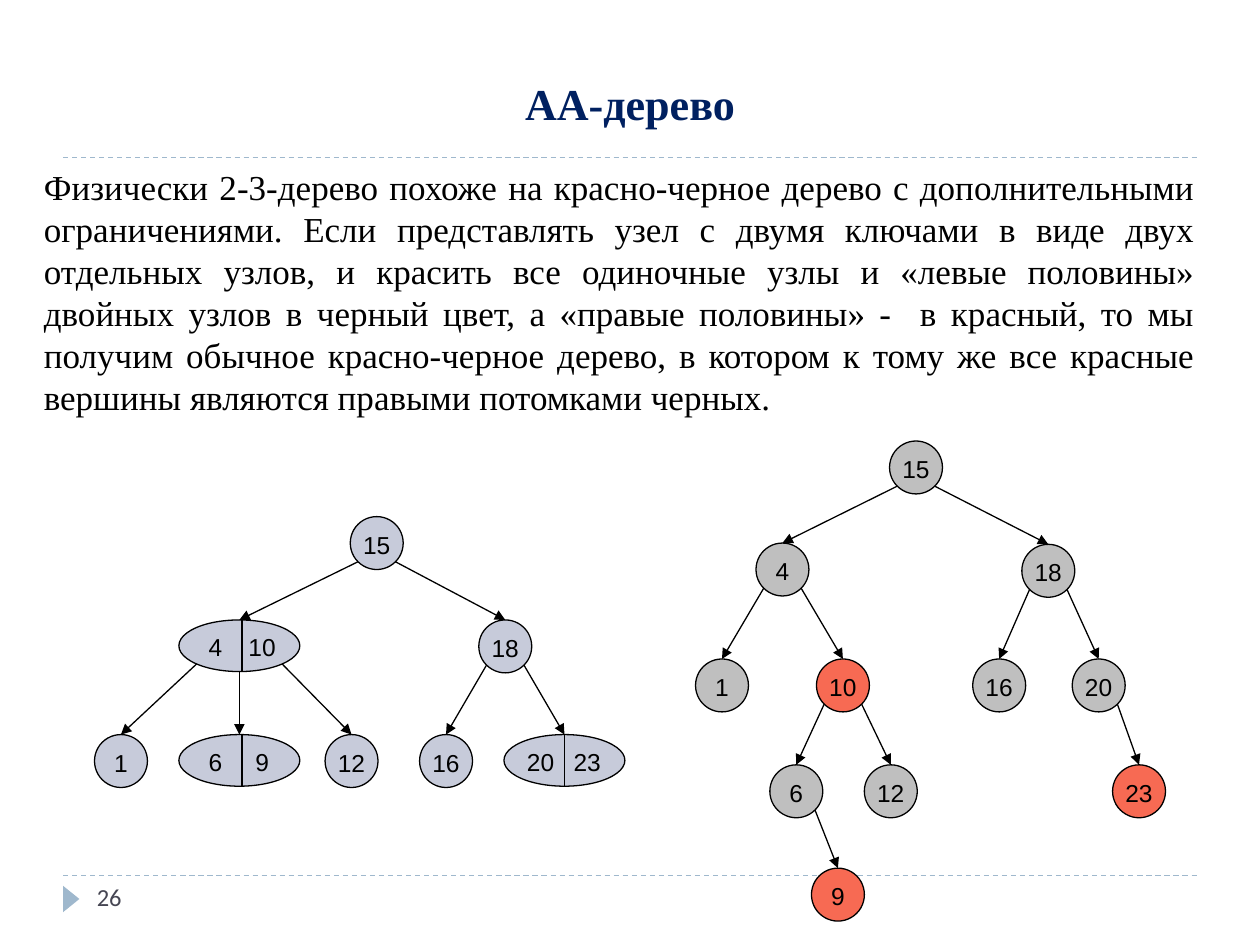
"""Build the slide that compares a 2-3 tree with its AA tree."""
from dataclasses import dataclass

from lxml.etree import SubElement
from pptx import Presentation
from pptx.dml.color import RGBColor
from pptx.enum.dml import MSO_LINE
from pptx.enum.shapes import MSO_CONNECTOR, MSO_SHAPE
from pptx.enum.text import MSO_ANCHOR, MSO_AUTO_SIZE, PP_ALIGN
from pptx.oxml.ns import qn
from pptx.util import Inches, Pt

COLORS = {
    "title": "002060", "text": "000000", "number": "464653", "accent": "9FB8CD",
    "lilac": "C7CBDA", "gray": "BFBFBF", "red": "F76A53",
}
DIAMETER = 0.42
DOUBLE_WIDTH, DOUBLE_HEIGHT = 0.96, 0.41
CORNER = (1 - 0.5 ** 0.5) / 2
KEY_CENTERS = (0.15, 0.52)

BODY = (
    "Физически 2-3-дерево похоже на красно-черное дерево с дополнительными "
    "ограничениями. Если представлять узел с двумя ключами в виде двух отдельных "
    "узлов, и красить все одиночные узлы и «левые половины» двойных узлов в черный "
    "цвет, а «правые половины» -  в красный, то мы получим обычное красно-черное "
    "дерево, в котором к тому же все красные вершины являются правыми потомками черных."
)
SINGLE_NODES = {
    "15": (2.78, 4.1), "18": (3.8, 4.92), "1": (0.75, 5.83),
    "12": (2.58, 5.83), "16": (3.33, 5.83),
}
DOUBLE_NODES = {
    ("4", "10"): (1.42, 4.92, 1.92), ("6", "9"): (1.42, 5.83, 1.92),
    ("20", "23"): (4, 5.83, 4.48),
}
TWO_THREE_EDGES = [
    ("15", ("4", "10"), "left"), ("15", "18", "right"),
    (("4", "10"), "1", "left"), (("4", "10"), ("6", "9"), "middle"),
    (("4", "10"), "12", "right"),
    ("18", "16", "left"), ("18", ("20", "23"), "right"),
]
AA_NODES = {
    "15": (7.06, 3.5), "4": (6, 4.31), "18": (8.11, 4.32),
    "1": (5.52, 5.23), "10": (6.48, 5.23), "16": (7.72, 5.23), "20": (8.51, 5.23),
    "6": (6.11, 6.07), "12": (6.86, 6.07), "23": (8.83, 6.07), "9": (6.44, 6.89),
}
RED_KEYS = {"10", "23", "9"}
AA_EDGES = [
    ("15", "4", "left"), ("15", "18", "right"), ("4", "1", "left"),
    ("4", "10", "right"), ("18", "16", "left"), ("18", "20", "right"),
    ("10", "6", "left"), ("10", "12", "right"), ("20", "23", "right"),
    ("6", "9", "right"),
]


def rgb(name):
    """Return the named colour."""
    return RGBColor.from_string(COLORS[name])


@dataclass
class TreeSlide:
    """Hold the slide and its style, and draw each kind of element."""

    page: object
    node_font: str = "Arial"
    text_font: str = "Times New Roman"
    number_font: str = "Calibri"
    line_width: float = 0.75

    def style(self, frame, font, size, color, align, bold=False):
        """Format every paragraph of a text frame."""
        for para in frame.paragraphs:
            para.alignment = align
            for span in para.runs:
                span.font.name, span.font.size = font, Pt(size)
                span.font.bold = bold
                span.font.color.rgb = rgb(color)

    def title(self, text, left, top, width, height):
        """Place and format the title placeholder."""
        box = self.page.shapes.title
        box.left, box.top, box.width, box.height = map(Inches, (left, top, width, height))
        frame = box.text_frame
        frame.text = text
        frame.auto_size = MSO_AUTO_SIZE.NONE
        frame.vertical_anchor = MSO_ANCHOR.BOTTOM
        self.style(frame, self.text_font, 25.2, "title", PP_ALIGN.CENTER, True)

    def text(self, text, area, font, size, color, align, inset_top=0.05):
        """Add a wrapped text box."""
        frame = self.page.shapes.add_textbox(*map(Inches, area)).text_frame
        frame.word_wrap = True
        frame.margin_top = Inches(inset_top)
        frame.text = text
        self.style(frame, font, size, color, align)

    def line(self, start, end, color="text", dashed=False, arrow=False):
        """Add a straight line, dashed or with an arrowhead if asked."""
        line = self.page.shapes.add_connector(
            MSO_CONNECTOR.STRAIGHT, *map(Inches, (*start, *end)))
        line.line.width = Pt(self.line_width)
        line.line.color.rgb = rgb(color)
        if dashed:
            line.line.dash_style = MSO_LINE.DASH
        if arrow:
            SubElement(line.line._get_or_add_ln(), qn("a:tailEnd"), type="triangle")
        SubElement(line._element.spPr, qn("a:effectLst"))

    def marker(self, left, top, width, height):
        """Add the triangle that points at the slide number."""
        shape = self.page.shapes.add_shape(
            MSO_SHAPE.ISOSCELES_TRIANGLE, *map(Inches, (left, top, width, height)))
        shape.rotation = 90
        shape.shadow.inherit = False
        shape.fill.solid()
        shape.fill.fore_color.rgb = rgb("accent")
        shape.line.fill.background()

    def ellipse(self, text, area, fill, align=PP_ALIGN.CENTER):
        """Add an outlined ellipse with a key in it."""
        shape = self.page.shapes.add_shape(MSO_SHAPE.OVAL, *map(Inches, area))
        shape.shadow.inherit = False
        shape.fill.solid()
        shape.fill.fore_color.rgb = rgb(fill)
        shape.line.color.rgb = rgb("text")
        shape.line.width = Pt(self.line_width)
        frame = shape.text_frame
        frame.word_wrap = False
        frame.vertical_anchor = MSO_ANCHOR.MIDDLE
        frame.margin_top, frame.margin_bottom = Inches(0.07), Inches(0.05)
        frame.text = text
        self.style(frame, self.node_font, 14, "text", align)
        return frame

    def single(self, key, left, top, fill):
        """Add a one-key node and return its area."""
        area = (left, top, DIAMETER, DIAMETER)
        self.ellipse(key, area, fill)
        return area

    def double(self, keys, left, top, divider, fill):
        """Add a two-key node with a divider and return its area."""
        area = (left, top, DOUBLE_WIDTH, DOUBLE_HEIGHT)
        frame = self.ellipse("".join(f"\t{key}" for key in keys), area, fill, PP_ALIGN.LEFT)
        frame.word_wrap = True
        frame.margin_left = frame.margin_right = 0
        stops = SubElement(frame.paragraphs[0]._p.get_or_add_pPr(), qn("a:tabLst"))
        for center in KEY_CENTERS:
            SubElement(stops, qn("a:tab"), pos=str(Inches(center)), algn="ctr")
        self.line((divider, top), (divider, top + DOUBLE_HEIGHT))
        return area

    def edges(self, areas, links):
        """Join parents to the tops of their children."""
        for parent, child, side in links:
            left, top, width, height = areas[parent]
            across, down = {"left": (CORNER, 1 - CORNER), "middle": (0.5, 1),
                            "right": (1 - CORNER, 1 - CORNER)}[side]
            child_left, child_top, child_width, _ = areas[child]
            self.line((left + width * across, top + height * down),
                      (child_left + child_width / 2, child_top), arrow=True)


def main():
    """Build and save the deck."""
    deck = Presentation()
    deck.slide_width, deck.slide_height = Inches(10), Inches(7.5)
    slide = TreeSlide(deck.slides.add_slide(deck.slide_layouts[5]))
    for height in (6.95, 1.25):
        slide.line((0.5, height), (9.5, height), "accent", dashed=True)
    slide.marker(0.46, 7.07, 0.21, 0.13)
    slide.title("АА-дерево", 0.5, 0.58, 9, 0.5)
    slide.text("26", (0.67, 6.95, 2.17, 0.4), slide.number_font, 14, "number", PP_ALIGN.LEFT)
    slide.text(BODY, (0.25, 1.25, 9.33, 2.13), slide.text_font, 20, "text",
               PP_ALIGN.JUSTIFY, 0.06)

    areas = {key: slide.single(key, *spot, "lilac") for key, spot in SINGLE_NODES.items()}
    areas |= {keys: slide.double(keys, *spot, "lilac") for keys, spot in DOUBLE_NODES.items()}
    slide.edges(areas, TWO_THREE_EDGES)

    areas = {key: slide.single(key, *spot, "red" if key in RED_KEYS else "gray")
             for key, spot in AA_NODES.items()}
    slide.edges(areas, AA_EDGES)
    deck.save("out.pptx")


if __name__ == "__main__":
    main()
